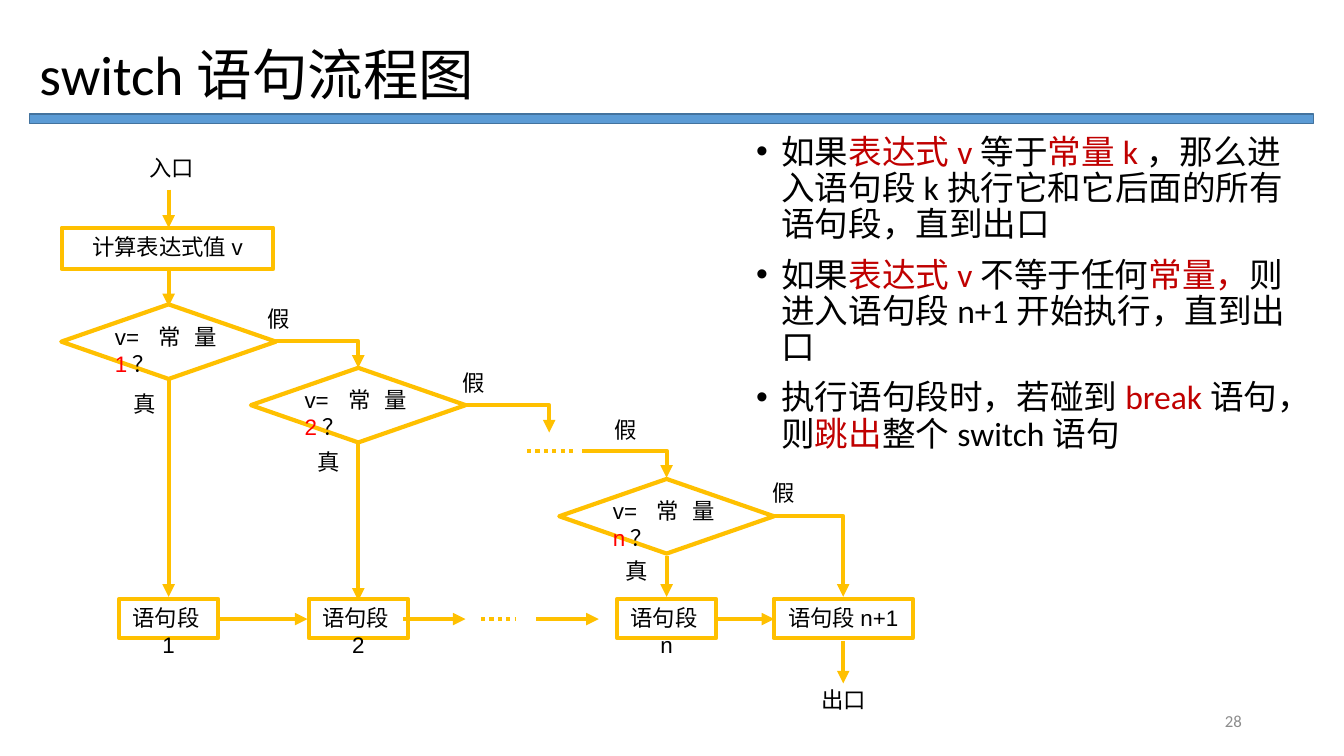
from typing import NamedTuple

from lxml import etree
from pptx import Presentation
from pptx.dml.color import RGBColor
from pptx.enum.dml import MSO_LINE
from pptx.enum.lang import MSO_LANGUAGE_ID
from pptx.enum.shapes import MSO_CONNECTOR, MSO_SHAPE
from pptx.enum.text import MSO_ANCHOR, MSO_AUTO_SIZE, PP_ALIGN
from pptx.oxml.ns import qn
from pptx.util import Cm, Pt

CHINESE = MSO_LANGUAGE_ID.SIMPLIFIED_CHINESE
LEFT, CENTER, RIGHT, JUSTIFY = PP_ALIGN.LEFT, PP_ALIGN.CENTER, PP_ALIGN.RIGHT, PP_ALIGN.JUSTIFY
TOP, MIDDLE = MSO_ANCHOR.TOP, MSO_ANCHOR.MIDDLE
PROCESS, DECISION = MSO_SHAPE.FLOWCHART_PROCESS, MSO_SHAPE.FLOWCHART_DECISION
BLACK, DARK_RED, RED, GOLD = "000000", "C00000", "FF0000", "FFC000"

# Flowchart columns and rows, in centimetres
COLUMN_1, COLUMN_2, COLUMN_N, COLUMN_EXIT = 4.25, 9.03, 16.8, 21.25
SEGMENT_TOP, SEGMENT_MIDDLE, SEGMENT_ENTRY = 15.09, 15.6, 15.04
DECISION_WIDTH, DECISION_HEIGHT = 5.41, 1.88


class Run(NamedTuple):
    """A stretch of text in one colour."""
    text: str
    color: str = BLACK


class Label(NamedTuple):
    """A short caption beside the flow."""
    text: str
    left: float
    top: float


class Box(NamedTuple):
    """A process box centred on a column."""
    text: str
    center: float
    top: float
    width: float
    height: float


class Decision(NamedTuple):
    """A comparison with one constant."""
    constant: str
    center: float
    top: float


class Line(NamedTuple):
    """A straight line, either an arrow or dotted."""
    start: tuple[float, float]
    end: tuple[float, float]
    dotted: bool = False


class Elbow(NamedTuple):
    """An arrow going right and then down."""
    start: tuple[float, float]
    end: tuple[float, float]


BULLETS = [
    [Run("如果"), Run("表达式v", DARK_RED), Run("等于"), Run("常量k", DARK_RED),
     Run("，那么进入语句段k执行它和它后面的所有语句段，直到出口")],
    [Run("如果"), Run("表达式v", DARK_RED), Run("不等于任何"), Run("常量，", DARK_RED),
     Run("则进入语句段n+1开始执行，直到出口")],
    [Run("执行语句段时，若碰到"), Run("break", DARK_RED), Run("语句，则"),
     Run("跳出", DARK_RED), Run("整个switch语句")],
]
BOXES = [
    Box("计算表达式值v", 4.22, 5.74, 5.33, 1.04),
    Box("语句段1", COLUMN_1, SEGMENT_TOP, 2.49, 0.99),
    Box("语句段2", COLUMN_2, SEGMENT_TOP, 2.49, 0.99),
    Box("语句段n", COLUMN_N, SEGMENT_TOP, 2.49, 0.99),
    Box("语句段n+1", COLUMN_EXIT, SEGMENT_TOP, 3.5, 0.99),
]
DECISIONS = [
    Decision("1", COLUMN_1, 7.67),
    Decision("2", COLUMN_2, 9.27),
    Decision("n", COLUMN_N, 12.07),
]
LINES = [
    Line((COLUMN_1, 4.78), (COLUMN_1, 5.74)),
    Line((COLUMN_1, 6.76), (COLUMN_1, 7.72)),
    Line((COLUMN_1, 9.55), (COLUMN_1, SEGMENT_ENTRY)),
    Line((COLUMN_2, 11.1), (COLUMN_2, 15.14)),
    Line((COLUMN_N, 14.02), (COLUMN_N, SEGMENT_ENTRY)),
    Line((COLUMN_EXIT, 16.15), (COLUMN_EXIT, 17.22)),
    Line((5.51, SEGMENT_MIDDLE), (7.75, SEGMENT_MIDDLE)),
    Line((10.16, SEGMENT_MIDDLE), (11.73, SEGMENT_MIDDLE)),
    Line((13.51, SEGMENT_MIDDLE), (15.09, SEGMENT_MIDDLE)),
    Line((18.06, SEGMENT_MIDDLE), (19.51, SEGMENT_MIDDLE)),
    Line((12.12, SEGMENT_MIDDLE), (13, SEGMENT_MIDDLE), dotted=True),
    Line((13.28, 11.36), (14.53, 11.36), dotted=True),
]
ELBOWS = [
    Elbow((6.9, 8.6), (COLUMN_2, 9.27)),
    Elbow((11.73, 10.21), (13.84, 10.9)),
    Elbow((14.68, 11.36), (COLUMN_N, 12.04)),
    Elbow((19.51, 13), (COLUMN_EXIT, SEGMENT_ENTRY)),
]
LABELS = [
    Label("入口", 3.51, 3.76), Label("出口", 20.45, 17.17),
    Label("假", 6.5, 7.57), Label("假", 11.4, 9.17),
    Label("假", 15.24, 10.36), Label("假", 19.23, 11.94),
    Label("真", 3.12, 9.7), Label("真", 7.75, 11.18), Label("真", 15.52, 13.92),
]


def rgb(color: str) -> RGBColor:
    """Turn a hex string into a colour."""
    return RGBColor.from_string(color)


def place(shape, left: float, top: float, width: float, height: float) -> None:
    """Move and size a shape in centimetres."""
    shape.left, shape.top, shape.width, shape.height = map(Cm, (left, top, width, height))


def write(paragraph, runs: list[Run], size: float, font: str, alignment) -> None:
    """Add formatted runs to a paragraph."""
    paragraph.alignment = alignment
    for part in runs:
        run = paragraph.add_run()
        run.text = part.text
        run.font.size, run.font.name = Pt(size), font
        run.font.color.rgb = rgb(part.color)
        run.font.language_id = CHINESE


def set_frame(shape, anchor):
    """Prepare a wrapping text frame of fixed size and return it."""
    frame = shape.text_frame
    frame.word_wrap, frame.auto_size = True, MSO_AUTO_SIZE.NONE
    frame.vertical_anchor = anchor
    return frame


def style_line(shape, arrow: bool = False, dotted: bool = False) -> None:
    """Give a shape the gold flow line, with an optional arrowhead."""
    shape.line.color.rgb, shape.line.width = rgb(GOLD), Pt(3)
    if dotted:
        shape.line.dash_style = MSO_LINE.ROUND_DOT
    if arrow:
        outline = shape.element.spPr.find(qn("a:ln"))
        etree.SubElement(outline, qn("a:tailEnd"), type="triangle")


def add_node(slide, kind, center: float, top: float, width: float, height: float):
    """Add an unfilled flowchart node and return its shape."""
    shape = slide.shapes.add_shape(kind, Cm(center - width / 2), Cm(top), Cm(width), Cm(height))
    shape.shadow.inherit = False
    shape.fill.background()
    style_line(shape)
    return shape


def add_box(slide, box: Box) -> None:
    """Add a process box with centred text."""
    shape = add_node(slide, PROCESS, box.center, box.top, box.width, box.height)
    write(set_frame(shape, TOP).paragraphs[0], [Run(box.text)], 16, "Arial", CENTER)


def add_decision(slide, decision: Decision) -> None:
    """Add a decision diamond with its constant in red."""
    shape = add_node(slide, DECISION, decision.center, decision.top, DECISION_WIDTH, DECISION_HEIGHT)
    frame = set_frame(shape, TOP)
    frame.margin_left = frame.margin_right = frame.margin_top = frame.margin_bottom = 0
    runs = [Run("v=常量"), Run(decision.constant, RED), Run("？")]
    write(frame.paragraphs[0], runs, 16, "Arial", JUSTIFY)


def add_line(slide, line: Line) -> None:
    """Add a straight connector."""
    points = map(Cm, (*line.start, *line.end))
    connector = slide.shapes.add_connector(MSO_CONNECTOR.STRAIGHT, *points)
    style_line(connector, arrow=not line.dotted, dotted=line.dotted)
    etree.SubElement(connector.element.spPr, qn("a:effectLst"))


def add_elbow(slide, elbow: Elbow) -> None:
    """Add an open right-angled arrow."""
    (left, top), (right, bottom) = elbow.start, elbow.end
    builder = slide.shapes.build_freeform(Cm(left), Cm(top))
    builder.add_line_segments([(Cm(right), Cm(top)), (Cm(right), Cm(bottom))], close=False)
    shape = builder.convert_to_shape()
    shape.shadow.inherit = False
    shape.fill.background()
    style_line(shape, arrow=True)


def add_label(slide, label: Label) -> None:
    """Add a caption as wide as its characters need."""
    width = 0.58 + 0.6 * len(label.text)
    shape = slide.shapes.add_textbox(Cm(label.left), Cm(label.top), Cm(width), Cm(1))
    write(set_frame(shape, TOP).paragraphs[0], [Run(label.text)], 16, "Arial", JUSTIFY)


def add_heading_and_list(slide) -> None:
    """Fill the title and body placeholders and add the bar and page number."""
    title, body = slide.shapes.title, slide.placeholders[1]
    place(title, 0.74, 1.02, 32.36, 1.85)
    heading = set_frame(title, MIDDLE).paragraphs[0]
    heading.line_spacing = 0.9
    write(heading, [Run("switch语句流程图")], 39.6, "Calibri", LEFT)

    place(body, 18.8, 3.28, 14.33, 13.87)
    frame = set_frame(body, TOP)
    for index, runs in enumerate(BULLETS):
        paragraph = frame.add_paragraph() if index else frame.paragraphs[0]
        paragraph.line_spacing, paragraph.space_before = 0.9, Pt(10)
        properties = paragraph._p.get_or_add_pPr()
        properties.set("marL", str(Pt(18)))
        properties.set("indent", str(-Pt(18)))
        write(paragraph, runs, 24, "Calibri", LEFT)

    bar = slide.shapes.add_shape(MSO_SHAPE.RECTANGLE, Cm(0.74), Cm(2.87), Cm(32.36), Cm(0.25))
    bar.shadow.inherit = False
    bar.fill.solid()
    bar.fill.fore_color.rgb = rgb("5B9BD5")
    bar.line.color.rgb, bar.line.width = rgb("43739E"), Pt(1)

    number = slide.shapes.add_textbox(Cm(23.93), Cm(17.65), Cm(7.62), Cm(1.02))
    write(set_frame(number, MIDDLE).paragraphs[0], [Run("28", "8C8C8C")], 12, "Calibri", RIGHT)


def main() -> None:
    """Build and save the slide."""
    presentation = Presentation()
    presentation.slide_width, presentation.slide_height = Cm(33.87), Cm(19.05)
    slide = presentation.slides.add_slide(presentation.slide_layouts[1])
    add_heading_and_list(slide)
    for draw, items in ((add_box, BOXES), (add_decision, DECISIONS), (add_line, LINES),
                        (add_elbow, ELBOWS), (add_label, LABELS)):
        for item in items:
            draw(slide, item)
    presentation.save("out.pptx")


main()
